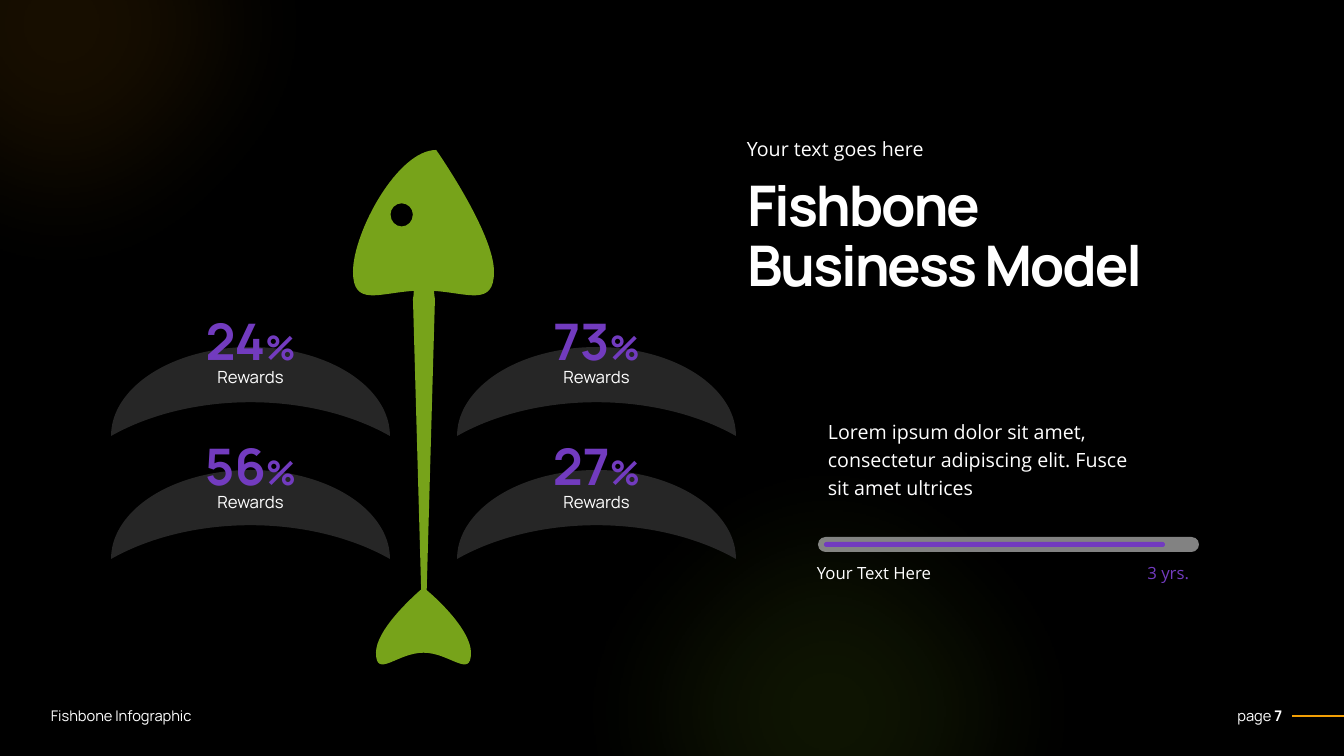
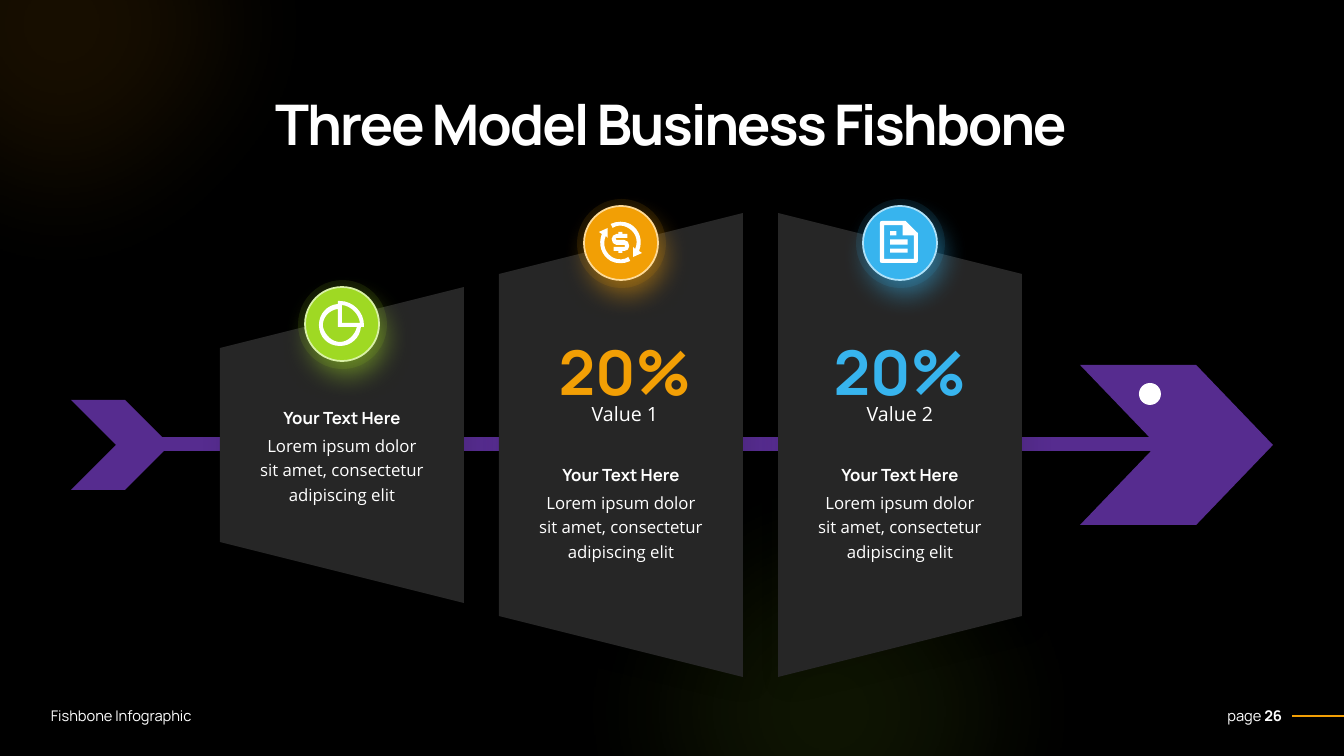
"""Builds two dark fishbone infographic slides."""
from itertools import islice

from lxml import etree
from pptx import Presentation
from pptx import util as u
from pptx.dml.color import RGBColor
from pptx.enum import shapes, text
from pptx.oxml.ns import qn

SCALE = 12192000 / 1344
KIND = shapes.MSO_SHAPE
ALIGN = text.PP_ALIGN
HEAD, BODY = "Manrope", "Open Sans"

BLACK = RGBColor(0x00, 0x00, 0x00)
WHITE = RGBColor(0xFF, 0xFF, 0xFF)
CHARCOAL = RGBColor(0x26, 0x26, 0x26)
SILVER = RGBColor(0xD9, 0xD9, 0xD9)
PURPLE = RGBColor(0x72, 0x3B, 0xBF)
VIOLET = RGBColor(0x56, 0x2C, 0x8F)
OLIVE = RGBColor(0x77, 0xA3, 0x1A)
LIME = RGBColor(0x9F, 0xD9, 0x23)
PALE_LIME = RGBColor(0xD9, 0xF1, 0xA6)
ORANGE = RGBColor(0xF2, 0x9F, 0x05)
PALE_ORANGE = RGBColor(0xFD, 0xDA, 0x98)
BLUE = RGBColor(0x37, 0xB4, 0xEE)
PALE_BLUE = RGBColor(0xAF, 0xE1, 0xF8)

FISH_HEAD = (
    "M 79 140 C 113 142 139 156 139 121 C 139 82 82 0 82 0 C 44 0 0 82 0 121 "
    "C 0 156 26 142 60 140 C 61 151 61 151 61 151 C 78 151 78 151 78 151 L 79 140 "
    "M 48 76 C 42 76 37 71 37 64 C 37 58 42 53 48 53 C 54 53 59 58 59 64 "
    "C 59 71 54 76 48 76")
FISH_TAIL = (
    "M 0 62 C 0 40 34 9 44 0 C 44 0 44 0 44 0 C 50 0 50 0 50 0 C 50 0 50 0 50 0 "
    "C 61 9 94 40 94 62 C 94 88 73 62 47 62 C 21 62 0 88 0 62")
FISH_SPINE = (
    "M 1 0 C 1 4 1 8 0 13 C 3 113 6 214 9 314 C 14 314 14 314 14 314 "
    "C 17 214 20 113 23 13 C 22 8 22 4 22 0 L 1 0")
PIE = (
    "M 19 0 C 20 0 20 0 21 0 C 34 0 45 11 45 24 C 45 25 45 25 45 26 L 42 26 "
    "C 41 37 32 45 21 45 C 9 45 0 36 0 24 C 0 13 8 4 19 3 L 19 0 "
    "M 19 26 L 19 8 C 10 9 3 17 4 26 C 6 34 13 41 21 41 C 29 41 36 34 38 26 L 19 26 "
    "M 41 22 C 40 13 32 5 23 4 L 23 22 L 41 22")
CYCLE = (
    "M 37 27 C 41 18 37 9 28 5 C 24 3 18 3 14 6 L 12 2 C 18 -1 26 -1 32 2 "
    "C 42 8 45 19 41 29 L 44 31 L 35 35 L 35 25 L 37 27 "
    "M 7 14 C 3 23 7 32 15 36 C 20 38 26 38 30 35 L 32 39 C 26 42 18 42 12 39 "
    "C 2 33 -1 22 3 12 L 0 10 L 9 6 L 9 16 L 7 14 "
    "M 15 25 L 26 25 C 27 25 27 24 27 24 C 27 23 27 23 26 23 L 18 23 "
    "C 15 23 13 20 13 17 C 13 15 15 12 18 12 L 20 12 L 20 10 L 24 10 L 24 12 "
    "L 29 12 L 29 16 L 18 16 C 17 16 17 17 17 17 C 17 18 17 18 18 18 L 26 18 "
    "C 29 18 31 21 31 24 C 31 27 29 29 26 29 L 24 29 L 24 31 L 20 31 L 20 29 "
    "L 15 29 L 15 25")
DOCUMENT = (
    "M 37 12 L 37 39 C 37 40 36 41 35 41 C 35 41 35 41 35 41 L 2 41 "
    "C 0 41 0 40 0 39 L 0 2 C 0 1 0 0 2 0 L 25 0 L 37 12 "
    "M 33 14 L 22 14 L 22 4 L 4 4 L 4 37 L 33 37 L 33 14 "
    "M 10 10 L 16 10 L 16 14 L 10 14 L 10 10 "
    "M 10 18 L 27 18 L 27 23 L 10 23 L 10 18 "
    "M 10 27 L 27 27 L 27 31 L 10 31 L 10 27")


def px(n):
    """Turn px into EMU."""
    return u.Emu(round(n * SCALE))


def paint(sp, color, alpha=None):
    """Give a shape a flat fill, no line and no shadow."""
    sp.shadow.inherit = False
    sp.fill.solid()
    sp.fill.fore_color.rgb = color
    sp.line.fill.background()
    if alpha:
        clr = sp._element.spPr.find(qn("a:solidFill"))[0]
        etree.SubElement(clr, qn("a:alpha"), val=str(alpha * 1000))
    return sp


def shape(s, kind, box, color, alpha=None, angle=0, adj=None):
    """Add a preset shape that fills the box as seen after a quarter turn."""
    x, y, w, h = box
    if angle:
        x, y, w, h = x + (w - h) / 2, y + (h - w) / 2, h, w
    sp = s.shapes.add_shape(kind, px(x), px(y), px(w), px(h))
    sp.rotation = angle
    if adj:
        sp.adjustments[0] = adj
    return paint(sp, color, alpha)


def effect(sp, name, **attrs):
    """Add one effect to a shape and return it."""
    effects = sp._element.spPr.find(qn("a:effectLst"))
    return etree.SubElement(effects, qn(name), {k: str(v) for k, v in attrs.items()})


def cast(sp, color, alpha, dist, angle):
    """Cast a soft coloured shadow."""
    shadow = effect(sp, "a:outerShdw", blurRad=u.Pt(19), dist=u.Pt(dist),
                    dir=angle * 60000, algn="ctr", rotWithShape=0)
    clr = etree.SubElement(shadow, qn("a:srgbClr"), val=str(color))
    etree.SubElement(clr, qn("a:alpha"), val=str(alpha * 1000))


def bend(sp, commands):
    """Merge each three segments that belong to a curve into one cubic Bézier."""
    segments = iter(list(sp._element.spPr.iter(qn("a:lnTo"))))
    for command in commands:
        group = list(islice(segments, 3 if command == "C" else 1))
        if command == "C":
            curve = etree.Element(qn("a:cubicBezTo"))
            group[0].addprevious(curve)
            for segment in group:
                curve.append(segment[0])
                segment.getparent().remove(segment)


def outline(s, box, path, color):
    """Draw a curved outline whose points are stretched to the box."""
    parts = []
    for part in path.split("M")[1:]:
        n = [float(token) for token in part.split() if token not in "CL"]
        parts.append(list(zip(n[::2], n[1::2])))
    xs, ys = zip(*(point for part in parts for point in part))
    x, y, w, h = box
    kx, ky = w / (max(xs) - min(xs)), h / (max(ys) - min(ys))
    parts = [[(px(x + (a - min(xs)) * kx), px(y + (b - min(ys)) * ky))
              for a, b in part] for part in parts]
    builder = s.shapes.build_freeform(*parts[0][0], scale=1.0)
    for i, part in enumerate(parts):
        if i:
            builder.move_to(*part[0])
        builder.add_line_segments(part[1:], close=True)
    sp = paint(builder.convert_to_shape(), color)
    bend(sp, [c for c in path if c in "CL"])


def add_run(p, words, size, color, font, bold=False):
    """Append one formatted run."""
    r = p.add_run()
    r.text = words
    r.font.size, r.font.name, r.font.bold = u.Pt(size), font, bold
    r.font.color.rgb = color
    return r


def label(s, box, runs, size, color=WHITE, font=BODY, align=ALIGN.LEFT,
          spacing=1.0, bold=False, anchor=text.MSO_ANCHOR.TOP):
    """Add a one-paragraph text box; a run is text, or text with size and weight."""
    tf = s.shapes.add_textbox(*map(px, box)).text_frame
    tf.word_wrap, tf.vertical_anchor = True, anchor
    p = tf.paragraphs[0]
    p.alignment, p.line_spacing = align, spacing
    for run in [runs] if isinstance(runs, str) else runs:
        words, pt, heavy = (run, size, bold) if isinstance(run, str) else run
        add_run(p, words, pt, color, font, heavy)


def set_title(s, box, lines, align):
    """Place and format the title placeholder."""
    sp = s.shapes.title
    sp.left, sp.top, sp.width, sp.height = map(px, box)
    tf = sp.text_frame
    tf.word_wrap, tf.auto_size = True, text.MSO_AUTO_SIZE.NONE
    tf.vertical_anchor = text.MSO_ANCHOR.TOP
    for i, line in enumerate(lines):
        p = tf.add_paragraph() if i else tf.paragraphs[0]
        p.alignment, p.line_spacing, p.space_before = align, 0.9, u.Pt(0)
        r = add_run(p, line, 40, WHITE, HEAD, True)
        r._r.get_or_add_rPr().set("spc", "-150")


def new_slide(prs, page, title_box, title, align):
    """Add a slide with the shared glows, footer and title style."""
    s = prs.slides.add_slide(prs.slide_layouts[5])
    for box, color in (((488, 370, 684, 684), LIME), ((-280, -319, 684, 688), ORANGE)):
        glow = shape(s, KIND.OVAL, box, color, 10)
        effect(glow, "a:softEdge", rad=1270000)
    middle = text.MSO_ANCHOR.MIDDLE
    label(s, (1190, 702, 102, 28), ["page ", (page, 10.5, True)], 10.5,
          font=HEAD, align=ALIGN.RIGHT, anchor=middle)
    label(s, (41, 702, 233, 28), "Fishbone Infographic", 10.5, font=HEAD, anchor=middle)
    rule = s.shapes.add_connector(shapes.MSO_CONNECTOR.STRAIGHT,
                                  px(1292), px(716), px(1344), px(716))
    rule.line.color.rgb, rule.line.width = ORANGE, u.Pt(1.25)
    etree.SubElement(rule._element.spPr, qn("a:effectLst"))
    set_title(s, title_box, title, align)
    return s


def upright_fish(s, x, y):
    """Draw the upright fish skeleton from its top left corner."""
    outline(s, (x + 23, y + 440, 95, 89), FISH_TAIL, OLIVE)
    outline(s, (x, y, 141, 157), FISH_HEAD, OLIVE)
    outline(s, (x + 60, y + 136, 22, 317), FISH_SPINE, OLIVE)


def rib(s, x, y, text_y, value):
    """Draw a rib with its percentage and caption."""
    shape(s, KIND.MOON, (x, y, 279, 89), CHARCOAL, angle=90, adj=0.62)
    label(s, (x + 75, text_y, 129, 72), [value, ("%", 24, True)], 36, PURPLE, HEAD,
          ALIGN.CENTER, bold=True)
    label(s, (x + 75, text_y + 53, 129, 34), "Rewards", 12, font=HEAD,
          align=ALIGN.CENTER, spacing=1.2)


def progress(s, x, y):
    """Draw the progress bar with its two labels."""
    shape(s, KIND.ROUNDED_RECTANGLE, (x, y, 381, 15), SILVER, 60, adj=0.5)
    shape(s, KIND.ROUNDED_RECTANGLE, (x + 6, y + 5, 341, 5), PURPLE, adj=0.5)
    label(s, (x - 11, y + 21, 183, 31), "Your Text Here", 12)
    label(s, (x + 302, y + 21, 79, 31), "3 yrs.", 12, PURPLE, align=ALIGN.RIGHT)


def rewards_slide(prs):
    """Build the upright fishbone slide."""
    s = new_slide(prs, "7", (737, 173, 463, 133), ["Fishbone", "Business Model"], ALIGN.LEFT)
    upright_fish(s, 353, 150)
    for i, value in enumerate(("24", "73", "56", "27")):
        row, col = divmod(i, 2)
        rib(s, 111 + 346 * col, 347 + 123 * row, 305 + 125 * row, value)
    label(s, (737, 127, 274, 37), "Your text goes here", 14, spacing=1.2)
    label(s, (818, 410, 322, 94), "Lorem ipsum dolor sit amet, consectetur "
          "adipiscing elit. Fusce sit amet ultrices", 14, spacing=1.2)
    progress(s, 818, 537)


def arrow_fish(s, x, y):
    """Draw the horizontal fish around its centre line y."""
    shape(s, KIND.RECTANGLE, (x + 57, y - 8, 1039, 14), VIOLET)
    shape(s, KIND.CHEVRON, (x, y - 45, 99, 90), VIOLET)
    shape(s, KIND.CHEVRON, (x + 1009, y - 80, 193, 160), VIOLET, adj=0.48)
    shape(s, KIND.OVAL, (x + 1068, y - 62, 22, 22), WHITE)


def badge(s, cx, cy, color, rim, icon, size):
    """Draw a glowing round badge with an icon at its centre."""
    shape(s, KIND.OVAL, (cx - 44, cy - 44, 89, 89), color, 10)
    disc = shape(s, KIND.OVAL, (cx - 37, cy - 37, 74, 74), color)
    disc.line.color.rgb, disc.line.width = rim, u.Pt(1.25)
    cast(disc, color, 50, 10, 68)
    w, h = size
    outline(s, (cx - w // 2 - 1, cy - h // 2 - 1, w, h), icon, WHITE)


def panel(s, box, angle, drop, heading_y, badge_style, value=None):
    """Draw one slanted panel with its texts and badge."""
    x, y, w, _ = box
    cx = x + w // 2
    cast(shape(s, KIND.TRAPEZOID, box, CHARCOAL, angle=angle), BLACK, 10, 6, 45)
    label(s, (cx - 88, y + heading_y, 176, 30), "Your Text Here", 12, font=HEAD,
          align=ALIGN.CENTER, bold=True)
    label(s, (cx - 93, y + heading_y + 24, 186, 82), "Lorem ipsum dolor sit amet, "
          "consectetur adipiscing elit", 12, align=ALIGN.CENTER, spacing=1.2)
    if value:
        caption, shift = value
        left = cx - 99 + shift
        label(s, (left, y + 116, 198, 85), "20%", 44, badge_style[0], HEAD,
              ALIGN.CENTER, bold=True)
        label(s, (left, y + 179, 198, 36), caption, 14, align=ALIGN.CENTER, spacing=1.2)
    badge(s, cx, y + drop, *badge_style)


def models_slide(prs):
    """Build the three-panel fishbone slide."""
    s = new_slide(prs, "26", (138, 92, 1066, 72), ["Three Model Business Fishbone"],
                  ALIGN.CENTER)
    arrow_fish(s, 71, 445)
    panels = (
        (316, 270, 37, 116, (LIME, PALE_LIME, PIE, (45, 45)), None),
        (464, 270, 30, 247, (ORANGE, PALE_ORANGE, CYCLE, (45, 43)), ("Value 1", 4)),
        (464, 90, 30, 247, (BLUE, PALE_BLUE, DOCUMENT, (38, 42)), ("Value 2", 0)))
    for i, (height, *style) in enumerate(panels):
        panel(s, (220 + 279 * i, 445 - height // 2, 244, height), *style)


def main():
    """Build and save the presentation."""
    prs = Presentation()
    prs.slide_width, prs.slide_height = px(1344), px(756)
    fill = prs.slide_master.background.fill
    fill.solid()
    fill.fore_color.rgb = BLACK
    rewards_slide(prs)
    models_slide(prs)
    prs.save("out.pptx")


if __name__ == "__main__":
    main()
